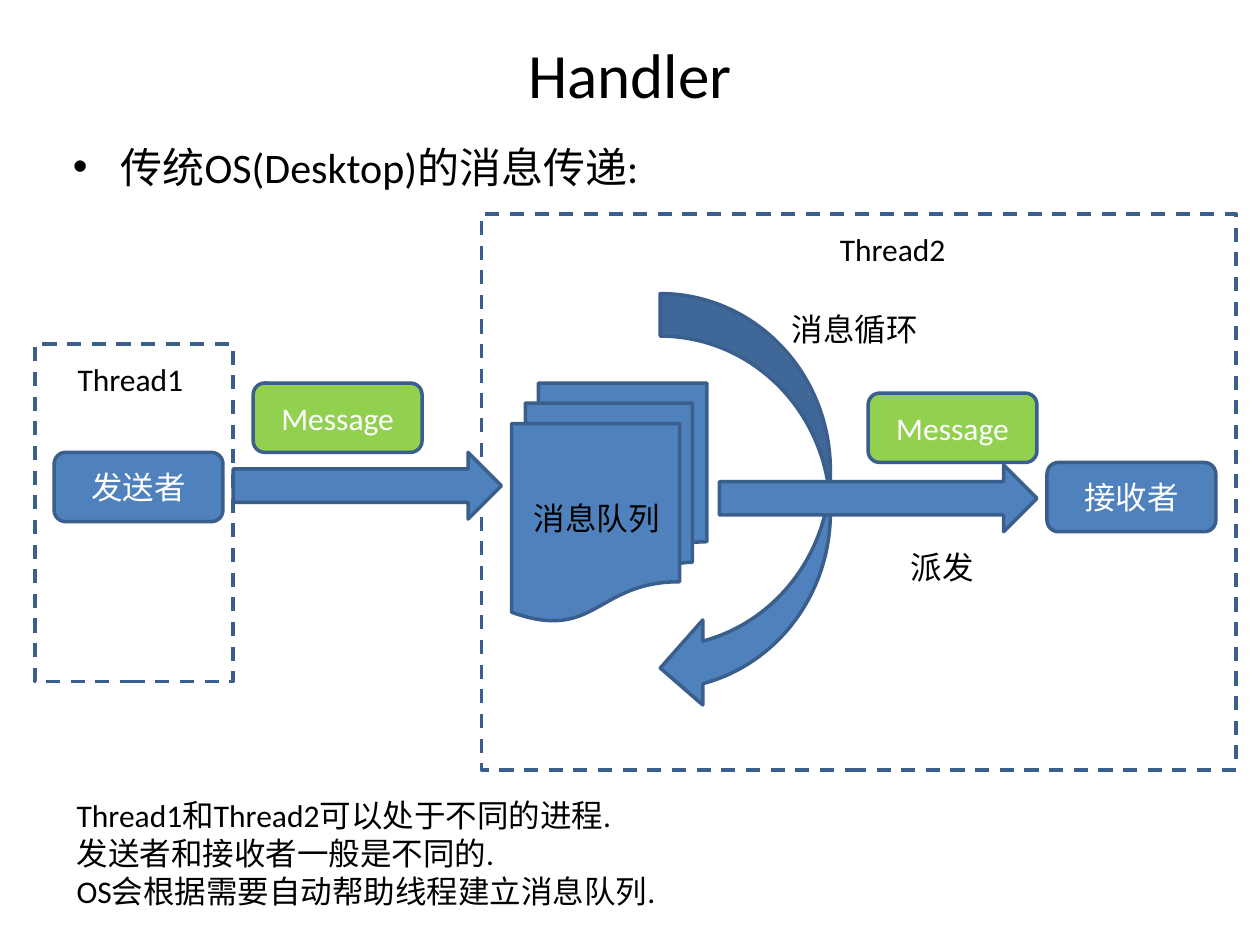
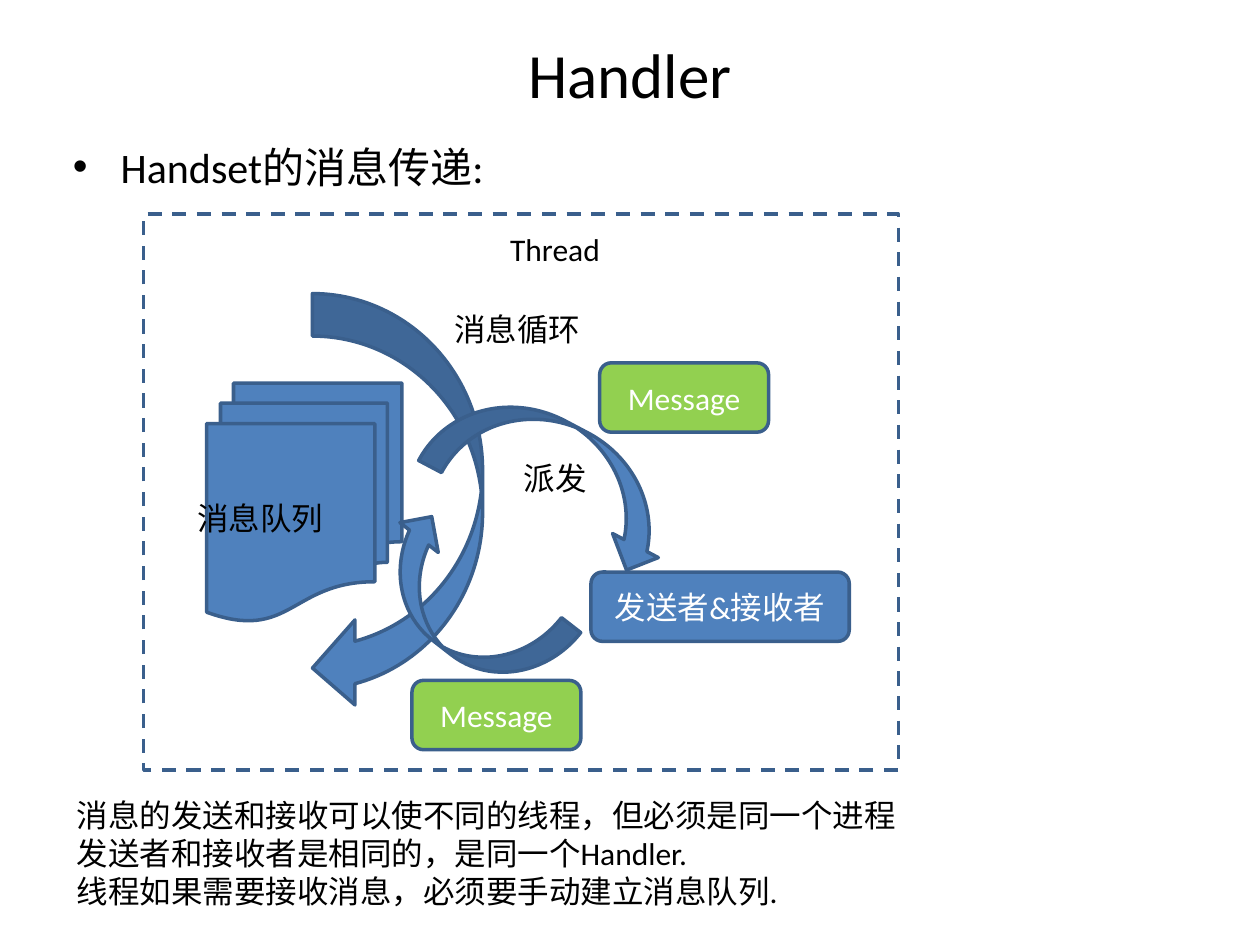
"""Two slides on message passing between threads, drawn on a 100 x 75 grid."""
from lxml import etree
from pptx import Presentation
from pptx.dml.color import RGBColor
from pptx.enum import dml, shapes, text
from pptx.oxml import ns
from pptx.util import Inches, Pt

BLACK = RGBColor(0x00, 0x00, 0x00)
WHITE = RGBColor(0xFF, 0xFF, 0xFF)
BLUE = RGBColor(0x4F, 0x81, 0xBD)
GREEN = RGBColor(0x92, 0xD0, 0x50)
OUTLINE = RGBColor(0x3A, 0x5F, 0x8C)
FONT = "Calibri"
KIND = shapes.MSO_SHAPE

SLIDE_WIDTH, SLIDE_HEIGHT = Inches(10), Inches(7.5)
CELL = SLIDE_WIDTH / 100  # grid of 100 columns by 75 rows
TITLE_AREA = (7.5, 0.9, 85, 9.8)
BULLET_AREA = (4.8, 10.7, 87, 57.5)
NOTES_LEFT, NOTES_TOP, NOTES_HEIGHT = 5.1, 62.7, 10.1
THREAD_TOP, THREAD_WIDTH, THREAD_HEIGHT = 17, 59.9, 44.1
BOX_WIDTH, BOX_HEIGHT = 13.4, 5.5
LABEL_HEIGHT, LONG_LABEL, SHORT_LABEL = 4, 12.1, 7.1

# Columns are grid positions; boxes are (words, column, row, width, fill),
# arrows (kind, area, rotation) and labels (words, column, row, width, centred).
SLIDES = [
    {
        "title": "Handler",
        "bullet": "传统OS(Desktop)的消息传递:",
        "thread": ("Thread2", 38.2),
        "loop": 52.4, "queue": 40.6, "queue_label": 41.3,
        "sender_frame": (2.8, 27.3, 15.7, 26.8),
        "arrows": [
            (KIND.RIGHT_ARROW, (18.5, 35.9, 21.3, 5.3), 0),
            (KIND.RIGHT_ARROW, (57.1, 36.9, 25.2, 5.3), 0),
        ],
        "boxes": [
            ("发送者", 4.3, 35.9, BOX_WIDTH, BLUE),
            ("Message", 20.1, 30.4, BOX_WIDTH, GREEN),
            ("接收者", 83.1, 36.7, BOX_WIDTH, BLUE),
            ("Message", 68.9, 31.2, BOX_WIDTH, GREEN),
        ],
        "labels": [
            ("派发", 71.3, 43, SHORT_LABEL, False),
            ("Thread1", 5.1, 28.1, 10.5, True),
        ],
        "notes_width": 65.4,
        "notes": [
            "Thread1和Thread2可以处于不同的进程.",
            "发送者和接收者一般是不同的.",
            "OS会根据需要自动帮助线程建立消息队列.",
        ],
    },
    {
        "title": "Handler",
        "bullet": "Handset的消息传递:",
        "thread": ("Thread", 11.4),
        "loop": 24.8, "queue": 16.4, "queue_label": 14.6,
        "sender_frame": None,
        "arrows": [
            (KIND.CURVED_RIGHT_ARROW, (33.2, 39.6, 7.7, 16.9), 127.9),
            (KIND.CURVED_RIGHT_ARROW, (40.2, 27.4, 8.2, 20.7), 297.8),
        ],
        "boxes": [
            ("发送者&接收者", 46.9, 45.4, 20.5, BLUE),
            ("Message", 47.6, 28.8, BOX_WIDTH, GREEN),
            ("Message", 32.7, 54, BOX_WIDTH, GREEN),
        ],
        "labels": [("派发", 40.6, 35.9, SHORT_LABEL, False)],
        "notes_width": 90.6,
        "notes": [
            "消息的发送和接收可以使不同的线程，但必须是同一个进程",
            "发送者和接收者是相同的，是同一个Handler.",
            "线程如果需要接收消息，必须要手动建立消息队列.",
        ],
    },
]


def place(area):
    """Turn grid columns and rows into slide lengths."""
    return [round(length * CELL) for length in area]


def write(shape, lines, size, color, centred):
    """Fill a shape with paragraphs of one style."""
    frame = shape.text_frame
    frame.text = "\n".join(lines)
    for paragraph in frame.paragraphs:
        paragraph.alignment = text.PP_ALIGN.CENTER if centred else text.PP_ALIGN.LEFT
        for run in paragraph.runs:
            run.font.size = Pt(size)
            run.font.name = FONT
            run.font.color.rgb = color


def add_title(slide, words):
    """Move and format the title placeholder."""
    title = slide.shapes.title
    title.left, title.top, title.width, title.height = place(TITLE_AREA)
    write(title, [words], 36, BLACK, True)
    title.text_frame.vertical_anchor = text.MSO_ANCHOR.MIDDLE


def add_text(slide, lines, area, size=18, centred=False, wrap=True):
    """Add a text box and return it."""
    box = slide.shapes.add_textbox(*place(area))
    write(box, lines, size, BLACK, centred)
    box.text_frame.word_wrap = wrap
    return box


def add_bullet(slide, words):
    """Add the bulleted lead line."""
    box = add_text(slide, [words], BULLET_AREA, size=24)
    paragraph = box.text_frame.paragraphs[0]
    paragraph.space_before = Pt(4.8)
    properties = paragraph._p.get_or_add_pPr()
    indent = Inches(0.38)
    properties.set("marL", str(indent))
    properties.set("indent", str(-indent))
    etree.SubElement(properties, ns.qn("a:buFont")).set("typeface", "Arial")
    etree.SubElement(properties, ns.qn("a:buChar")).set("char", "•")


def add_figure(slide, kind, area, fill=BLUE, rotation=0):
    """Add an outlined preset shape; without a fill it is a dashed frame."""
    shape = slide.shapes.add_shape(kind, *place(area))
    shape.shadow.inherit = False
    shape.line.color.rgb = OUTLINE
    shape.line.width = Pt(2)
    if fill is None:
        shape.fill.background()
        shape.line.dash_style = dml.MSO_LINE.DASH
    else:
        shape.fill.solid()
        shape.fill.fore_color.rgb = fill
    if rotation:
        shape.rotation = rotation
        shape._element.spPr.find(ns.qn("a:xfrm")).set("flipH", "1")
    return shape


def add_thread(slide, content):
    """Draw the receiving thread: frame, message loop and message queue."""
    name, left = content["thread"]
    add_figure(slide, KIND.CURVED_LEFT_ARROW, (content["loop"], 23.3, 13.5, 33.1))
    add_figure(slide, KIND.FLOWCHART_MULTIDOCUMENT, (content["queue"], 30.4, 15.5, 18.9))
    add_figure(slide, KIND.RECTANGLE,
               (left, THREAD_TOP, THREAD_WIDTH, THREAD_HEIGHT), None)
    add_text(slide, [name], (left + 17.3, 17.8, 30.7, LABEL_HEIGHT), centred=True)
    for words, column, row in (("消息队列", content["queue_label"], 39.1),
                               ("消息循环", left + 23.6, 24.1)):
        add_text(slide, [words], (column, row, LONG_LABEL, LABEL_HEIGHT),
                 centred=True, wrap=False)


def build_slide(presentation, content):
    """Build one slide from its content."""
    slide = presentation.slides.add_slide(presentation.slide_layouts[5])
    add_title(slide, content["title"])
    add_bullet(slide, content["bullet"])
    add_thread(slide, content)
    if content["sender_frame"]:
        add_figure(slide, KIND.RECTANGLE, content["sender_frame"], None)
    for kind, area, rotation in content["arrows"]:
        add_figure(slide, kind, area, rotation=rotation)
    for words, column, row, width, fill in content["boxes"]:
        box = add_figure(slide, KIND.ROUNDED_RECTANGLE,
                         (column, row, width, BOX_HEIGHT), fill)
        write(box, [words], 18, WHITE, True)
        box.text_frame.vertical_anchor = text.MSO_ANCHOR.MIDDLE
    for words, column, row, width, centred in content["labels"]:
        add_text(slide, [words], (column, row, width, LABEL_HEIGHT),
                 centred=centred, wrap=False)
    add_text(slide, content["notes"],
             (NOTES_LEFT, NOTES_TOP, content["notes_width"], NOTES_HEIGHT))


def main():
    """Build and save the presentation."""
    presentation = Presentation()
    presentation.slide_width, presentation.slide_height = SLIDE_WIDTH, SLIDE_HEIGHT
    for content in SLIDES:
        build_slide(presentation, content)
    presentation.save("out.pptx")


main()
